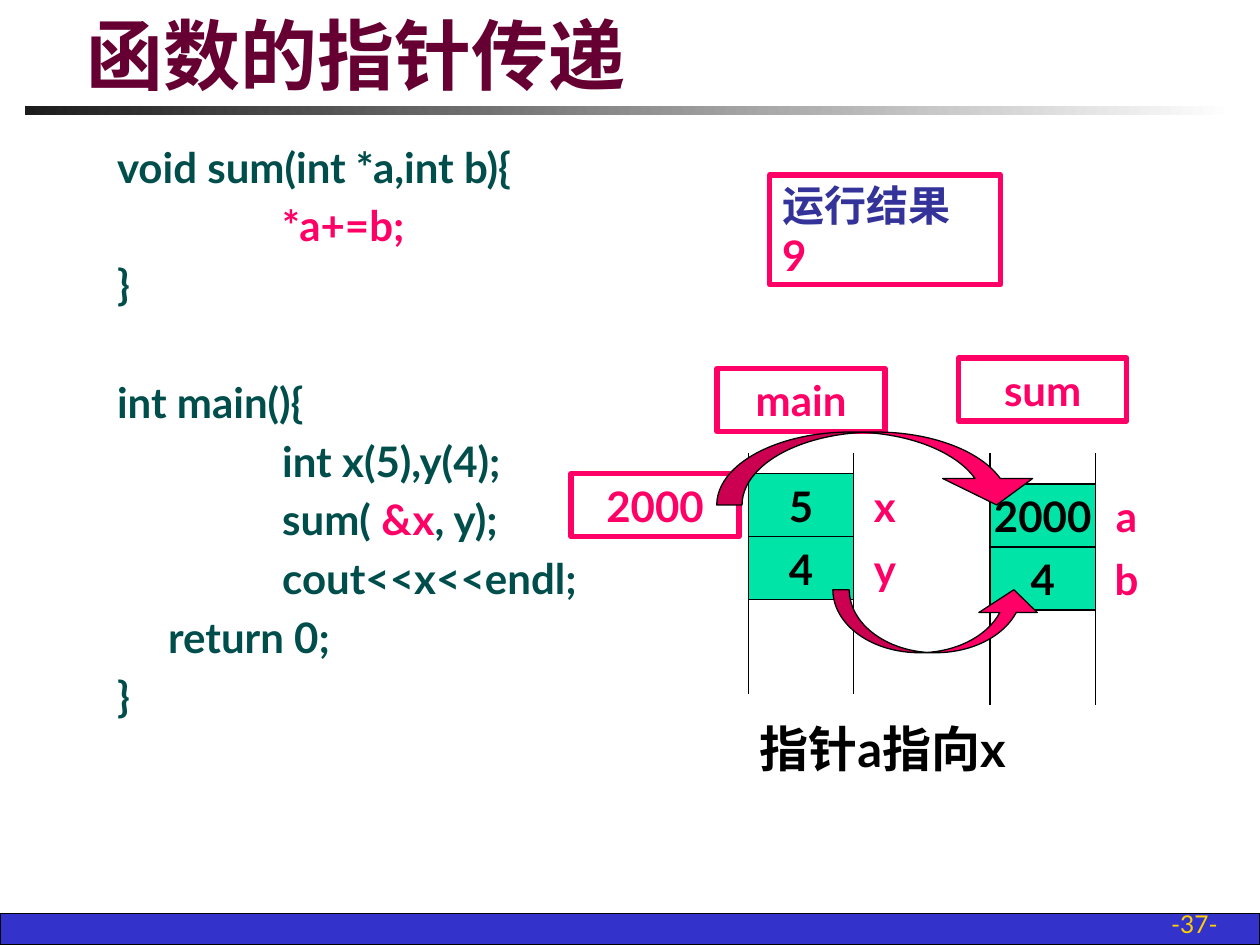
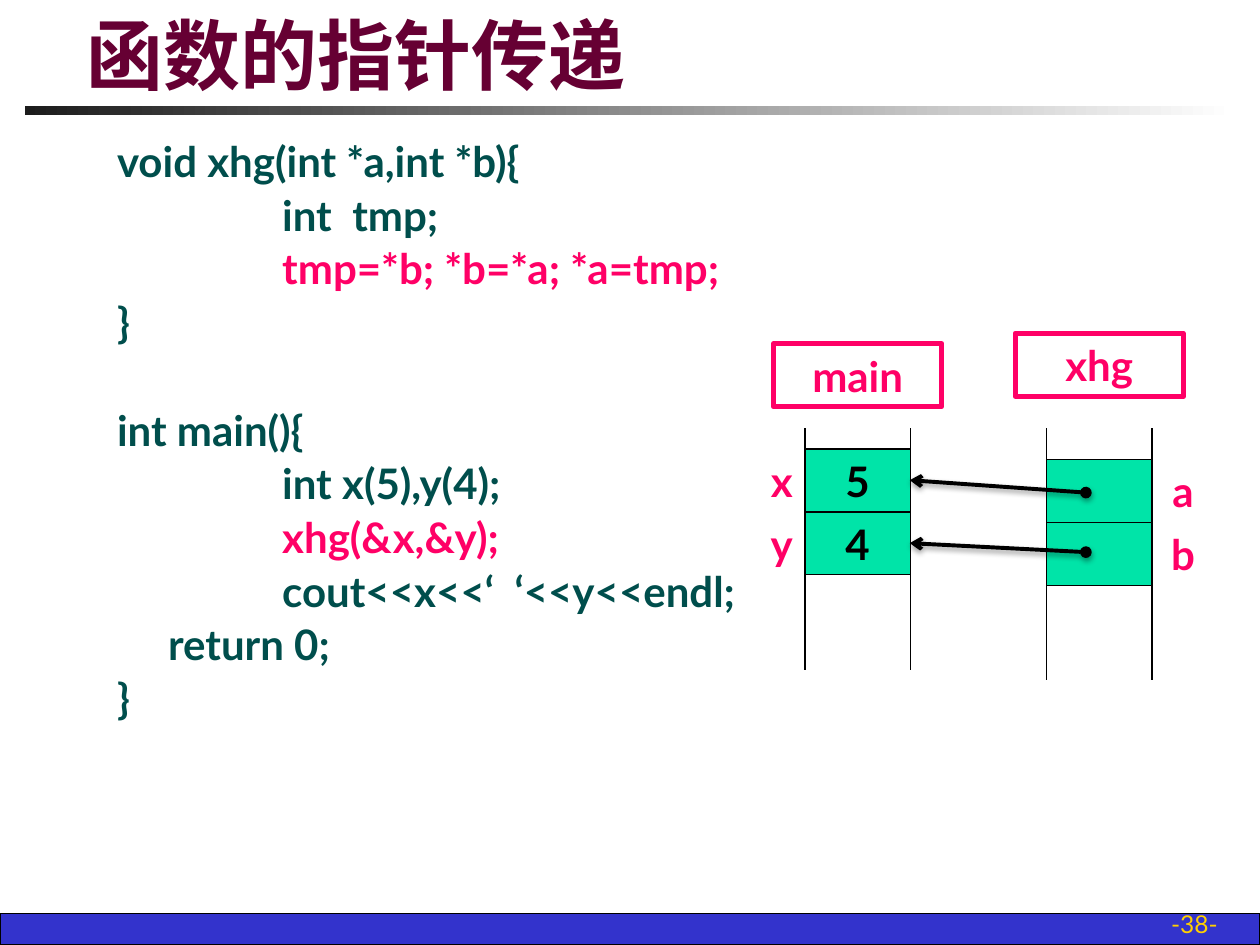
"""Builds two slides on passing pointers to functions."""
from lxml.etree import SubElement
from pptx import Presentation
from pptx.dml.color import RGBColor
from pptx.enum.shapes import MSO_CONNECTOR as Connector, MSO_SHAPE as Shape
from pptx.enum.text import MSO_ANCHOR as Anchor, PP_ALIGN as Align
from pptx.oxml.ns import qn
from pptx.util import Cm, Pt

BLACK = RGBColor(0x00, 0x00, 0x00)
WHITE = RGBColor(0xFF, 0xFF, 0xFF)
CHARCOAL = RGBColor(0x1C, 0x1C, 0x1C)
BLUE = RGBColor(0x33, 0x33, 0xCC)
INDIGO = RGBColor(0x33, 0x33, 0x99)
GOLD = RGBColor(0xFF, 0xCF, 0x01)
MAROON = RGBColor(0x66, 0x00, 0x33)
TEAL = RGBColor(0x00, 0x4E, 0x4C)
MINT = RGBColor(0x00, 0xE4, 0xA8)
PINK = RGBColor(0xFF, 0x00, 0x66)

TITLE = {"name": "Comic Neue", "size": Pt(44), "bold": True}
BODY = {"name": "Lato", "size": Pt(24), "bold": True}
CAPTION = {"name": "Lato", "size": Pt(28), "bold": True}
NUMBER = {"name": "Lato", "size": Pt(14), "bold": False}

CELL_WIDTH, ROW_HEIGHT = 2.12, 1.27
FRAME_WIDTH, LABEL_WIDTH = 3.39, 1.69
STACK_STEP, STACK_DROP = 4.87, 0.21
INDENTS = [0, 1.03, 3.33]

LESSONS = [
    {
        "number": "-37-",
        "line_spacing": 1.0,
        "code": [
            (0, ["void sum(int *a,int b){"]),
            (2, ["", "*a+=b;"]),
            (0, ["}"]),
            None,
            (0, ["int main(){"]),
            (2, ["int x(5),y(4);"]),
            (2, ["sum( ", "&x", ", y);"]),
            (2, ["cout<<x<<endl;"]),
            (1, ["     return 0;".strip()]),
            (0, ["}"]),
        ],
        "origin": (15.09, 9.55),
        "stacks": [
            ("main", 2.75, [("5", "x"), ("4", "y")]),
            ("sum", 2.75, [("2000", "a"), ("4", "b")]),
        ],
    },
    {
        "number": "-38-",
        "line_spacing": 0.9,
        "code": [
            (0, ["void xhg(int *a,int *b){"]),
            (2, ["int  tmp;"]),
            (2, ["", "tmp=*b; *b=*a; *a=tmp;"]),
            (0, ["}"]),
            None,
            (0, ["int main(){"]),
            (2, ["int x(5),y(4);"]),
            (2, ["", "xhg(&x,&y);"]),
            (2, ["cout<<x<<‘  ‘<<y<<endl;"]),
            (1, ["return 0;"]),
            (0, ["}"]),
        ],
        "origin": (16.23, 9.05),
        "stacks": [
            ("main", -0.47, [("5", "x"), ("4", "y")]),
            ("xhg", 2.75, [("", "a"), ("", "b")]),
        ],
    },
]


def write_text(shape, lines, formats, align=Align.CENTER, anchor=Anchor.MIDDLE, wrap=False):
    frame = shape.text_frame
    frame.word_wrap = wrap
    frame.vertical_anchor = anchor
    for index, runs in enumerate(lines):
        paragraph = frame.add_paragraph() if index else frame.paragraphs[0]
        paragraph.alignment = align
        for text, color in runs:
            run = paragraph.add_run()
            run.text = text
            run.font.color.rgb = color
            for attribute, value in formats.items():
                setattr(run.font, attribute, value)
    return frame


def add_line(slide, start, end, width):
    line = slide.shapes.add_connector(Connector.STRAIGHT, *map(Cm, start + end))
    line.line.color.rgb = BLACK
    line.line.width = Pt(width)
    effects = SubElement(line._element.spPr, qn("a:effectLst"))
    return line, effects


presentation = Presentation()
presentation.slide_width, presentation.slide_height = Cm(25.4), Cm(19.05)
slides = []

for lesson in LESSONS:
    slide = presentation.slides.add_slide(presentation.slide_layouts[6])
    slides.append(slide)
    shapes = slide.shapes

    footer = shapes.add_shape(Shape.RECTANGLE, Cm(0), Cm(18.41), Cm(25.4), Cm(0.64))
    footer.shadow.inherit = False
    footer.fill.solid()
    footer.fill.fore_color.rgb = BLUE
    footer.line.color.rgb = BLACK
    footer.line.width = Pt(0.75)

    rule = shapes.add_shape(Shape.RECTANGLE, Cm(0.5), Cm(2.13), Cm(24.4), Cm(0.2))
    rule.shadow.inherit = False
    rule.line.fill.background()
    rule.fill.gradient()
    rule.fill.gradient_angle = 0
    for stop, color in zip(rule.fill.gradient_stops, (CHARCOAL, WHITE)):
        stop.color.rgb = color

    number = shapes.add_textbox(Cm(19.5), Cm(18.21), Cm(5.3), Cm(0.84))
    write_text(number, [[(lesson["number"], GOLD)]], NUMBER, Align.RIGHT, Anchor.BOTTOM, True)
    title = shapes.add_textbox(Cm(1.5), Cm(0.33), Cm(22.15), Cm(1.8))
    write_text(title, [[("函数的指针传递", MAROON)]], TITLE, Align.LEFT, Anchor.BOTTOM, True)

    rows = [row for row in lesson["code"] if row]
    lines = [
        [(text, (TEAL, PINK)[place % 2]) for place, text in enumerate(texts) if text]
        for level, texts in rows
    ]
    code = shapes.add_textbox(Cm(2.36), Cm(2.72), Cm(20), Cm(14.4))
    frame = write_text(code, lines, BODY, Align.LEFT, Anchor.TOP, True)
    frame.margin_left = 0
    gap_row = lesson["code"].index(None)
    for index, (paragraph, (level, texts)) in enumerate(zip(frame.paragraphs, rows)):
        paragraph.line_spacing = lesson["line_spacing"]
        blank_line = 4.8 + 28.8 * lesson["line_spacing"] if index == gap_row else 0
        paragraph.space_before = Pt(4.8 + blank_line)
        paragraph._p.get_or_add_pPr().set("marL", str(Cm(INDENTS[level])))

    left, top = lesson["origin"]
    frames = []
    for column, (function, label_offset, cells) in enumerate(lesson["stacks"]):
        stack_left = left + column * STACK_STEP
        stack_top = top + column * STACK_DROP
        rail_top = top - 0.42
        for rail in (stack_left, stack_left + CELL_WIDTH):
            add_line(slide, (rail, rail_top), (rail, rail_top + 4.87 + column * STACK_DROP), 0.75)
        frames.append((function, stack_left + (CELL_WIDTH - FRAME_WIDTH) / 2,
                       top - 2.12 - column * STACK_DROP))
        for row, (value, variable) in enumerate(cells):
            row_top = Cm(stack_top + row * ROW_HEIGHT)
            cell = shapes.add_shape(
                Shape.RECTANGLE, Cm(stack_left), row_top, Cm(CELL_WIDTH), Cm(ROW_HEIGHT))
            cell.shadow.inherit = False
            cell.fill.solid()
            cell.fill.fore_color.rgb = MINT
            cell.line.color.rgb = BLACK
            cell.line.width = Pt(0.75)
            if value:
                write_text(cell, [[(value, BLACK)]], BODY)
            label = shapes.add_textbox(
                Cm(stack_left + label_offset - LABEL_WIDTH / 2), row_top,
                Cm(LABEL_WIDTH), Cm(ROW_HEIGHT))
            write_text(label, [[(variable, PINK)]], BODY)

    if slide is slides[0]:
        frames.append(("2000", 11.51, top))
    for text, frame_left, frame_top in frames:
        box = shapes.add_shape(
            Shape.RECTANGLE, Cm(frame_left), Cm(frame_top), Cm(FRAME_WIDTH), Cm(ROW_HEIGHT))
        box.shadow.inherit = False
        box.fill.background()
        box.line.color.rgb = PINK
        box.line.width = Pt(3)
        write_text(box, [[(text, PINK)]], BODY)

sum_slide, swap_slide = slides

for place, adjustments, flipped in [
    ((14.45, 8.71, 6.55, 1.47), (0.347, 1.233, 0.362), False),
    ((16.79, 11.89, 4.24, 1.27), (0.261, 0.928, 0.362), True),
]:
    arrow = sum_slide.shapes.add_shape(Shape.CURVED_DOWN_ARROW, *map(Cm, place))
    arrow.shadow.inherit = False
    arrow.fill.solid()
    arrow.fill.fore_color.rgb = PINK
    arrow.line.color.rgb = BLACK
    arrow.line.width = Pt(0.75)
    for index, value in enumerate(adjustments):
        arrow.adjustments[index] = value
    if flipped:
        arrow._element.spPr.xfrm.set("flipV", "1")

caption = sum_slide.shapes.add_textbox(Cm(15.06), Cm(14.35), Cm(5.66), Cm(1.45))
write_text(caption, [[("指针a指向x", BLACK)]], CAPTION, Align.LEFT, Anchor.TOP, True)

result = sum_slide.shapes.add_shape(Shape.RECTANGLE, Cm(15.52), Cm(3.53), Cm(4.65), Cm(2.21))
result.shadow.inherit = False
result.fill.background()
result.line.color.rgb = PINK
result.line.width = Pt(3)
write_text(result, [[("运行结果", INDIGO)], [("9", PINK)]], BODY, Align.LEFT, wrap=True)

for start_top, end_top in [(9.93, 9.68), (11.13, 10.95)]:
    pointer, effects = add_line(swap_slide, (21.89, start_top), (18.34, end_top), 2.25)
    outline = pointer.line._get_or_add_ln()
    SubElement(outline, qn("a:headEnd"), type="oval")
    SubElement(outline, qn("a:tailEnd"), type="arrow")
    shadow = SubElement(effects, qn("a:outerShdw"), blurRad="40000", dist="20000",
                        dir="5400000", rotWithShape="0")
    shade = SubElement(shadow, qn("a:srgbClr"), val=str(BLACK))
    SubElement(shade, qn("a:alpha"), val="38000")

presentation.save("out.pptx")
